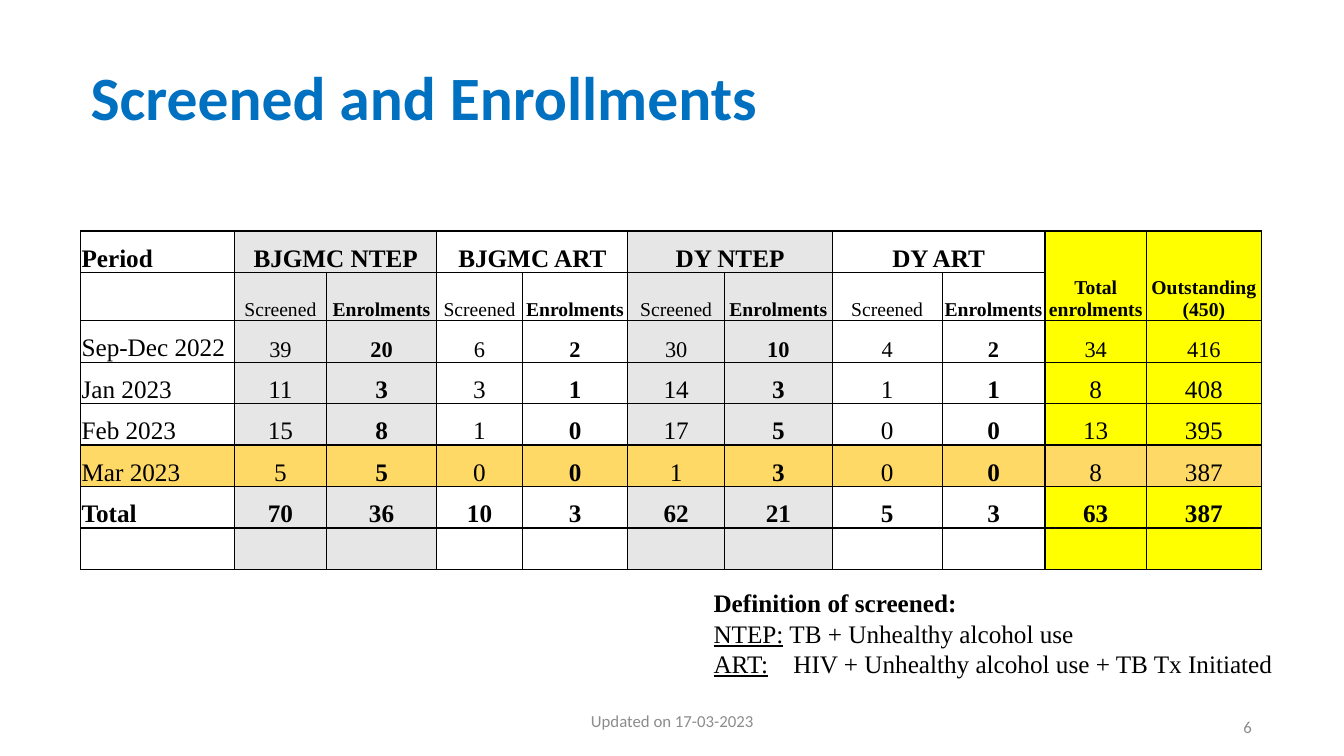
from lxml import etree
from pptx import Presentation
from pptx.dml.color import RGBColor
from pptx.enum import text as t
from pptx.oxml import ns
from pptx.util import Pt

BLACK = RGBColor(0, 0, 0)
BLUE = RGBColor(0x00, 0x70, 0xC0)
GREY = RGBColor(0x8C, 0x8C, 0x8C)
LIGHT = RGBColor(0xE7, 0xE6, 0xE6)
YELLOW = RGBColor(0xFF, 0xFF, 0x00)
AMBER = RGBColor(0xFF, 0xD9, 0x66)
SANS, SERIF = "Calibri", "Times New Roman"

WIDTHS = [110, 65.5, 79, 61, 75.5, 69, 77, 78.5, 73.5, 72.5, 82]
HEIGHTS = [29.8, 31.4] + [29.6] * 6
SITES = ["BJGMC NTEP", "BJGMC ART", "DY NTEP", "DY ART"]
PERIODS = [
    ["Sep-Dec 2022", 39, 20, 6, 2, 30, 10, 4, 2, 34, 416],
    ["Jan 2023", 11, 3, 3, 1, 14, 3, 1, 1, 8, 408],
    ["Feb 2023", 15, 8, 1, 0, 17, 5, 0, 0, 13, 395],
    ["Mar 2023", 5, 5, 0, 0, 1, 3, 0, 0, 8, 387],
    ["Total", 70, 36, 10, 3, 62, 21, 5, 3, 63, 387],
]
SUBHEAD_ROW, FIRST_PERIOD_ROW, MARCH_ROW, TOTAL_ROW = 1, 2, 5, 6
ENROLMENT_COLS = (2, 4, 6, 8)
NTEP_COLS = (1, 2, 5, 6)
SUMMARY_COLS = (9, 10)


def style(paragraph, size, face, color, bold=False, align=t.PP_ALIGN.LEFT):
    paragraph.alignment = align
    font = paragraph.font
    font.size, font.name, font.bold = Pt(size), face, bold
    font.color.rgb = color


def add_frame(slide, left, top, width, height, anchor=t.MSO_ANCHOR.MIDDLE):
    frame = slide.shapes.add_textbox(Pt(left), Pt(top), Pt(width), Pt(height)).text_frame
    frame.word_wrap = True
    frame.vertical_anchor = anchor
    return frame


def add_line(slide, box, wording, *look, **options):
    line = add_frame(slide, *box).paragraphs[0]
    line.add_run().text = wording
    style(line, *look, **options)
    return line


def add_borders(cell):
    properties = cell._tc.get_or_add_tcPr()
    for position, side in enumerate(("lnL", "lnR", "lnT", "lnB")):
        border = etree.Element(ns.qn("a:" + side), w=str(Pt(1)))
        fill = etree.SubElement(border, ns.qn("a:solidFill"))
        etree.SubElement(fill, ns.qn("a:srgbClr"), val=str(BLACK))
        properties.insert(position, border)


def cell_fill(row, col):
    if row == MARCH_ROW:
        return AMBER
    if col in SUMMARY_COLS:
        return YELLOW
    return LIGHT if col in NTEP_COLS else None


def cell_size(row, col):
    if row == SUBHEAD_ROW or (row == 0 and col in SUMMARY_COLS):
        return 14
    return 16 if row == FIRST_PERIOD_ROW and col > 0 else 18


def format_cell(cell, row, col):
    cell.margin_left = cell.margin_right = cell.margin_top = Pt(0.7)
    cell.margin_bottom = 0
    cell.vertical_anchor = t.MSO_ANCHOR.BOTTOM
    fill = cell_fill(row, col)
    if fill is None:
        cell.fill.background()
    else:
        cell.fill.solid()
        cell.fill.fore_color.rgb = fill
    add_borders(cell)
    bold = row in (0, TOTAL_ROW) or col in ENROLMENT_COLS
    align = t.PP_ALIGN.CENTER if col else t.PP_ALIGN.LEFT
    style(cell.text_frame.paragraphs[0], cell_size(row, col), SERIF, BLACK, bold, align)


def add_enrolment_table(slide):
    header = ["Period"]
    for site in SITES:
        header += [site, ""]
    header += ["Total enrolments", "Outstanding (450)"]
    subheader = [""] + ["Screened", "Enrolments"] * len(SITES) + ["", ""]
    rows = [header, subheader, *PERIODS, [""] * len(WIDTHS)]
    table = slide.shapes.add_table(len(rows), len(WIDTHS), Pt(57.6), Pt(165),
                                   Pt(sum(WIDTHS)), Pt(sum(HEIGHTS))).table
    table.first_row = table.horz_banding = False
    for column, width in zip(table.columns, WIDTHS):
        column.width = Pt(width)
    for r, (table_row, values) in enumerate(zip(table.rows, rows)):
        table_row.height = Pt(HEIGHTS[r])
        for c, value in enumerate(values):
            cell = table.cell(r, c)
            if value != "":
                cell.text = str(value)
            format_cell(cell, r, c)
    for enrolments in ENROLMENT_COLS:
        table.cell(0, enrolments - 1).merge(table.cell(0, enrolments))
    for summary in SUMMARY_COLS:
        table.cell(0, summary).merge(table.cell(SUBHEAD_ROW, summary))


def add_definitions(slide):
    frame = add_frame(slide, 502.6, 416.2, 430.6, 72.7, t.MSO_ANCHOR.TOP)
    heading = frame.paragraphs[0]
    heading.add_run().text = "Definition of screened:"
    style(heading, 18, SERIF, BLACK, bold=True)
    for term, meaning in (("NTEP:", " TB + Unhealthy alcohol use"),
                          ("ART:", "\tHIV + Unhealthy alcohol use + TB Tx Initiated")):
        definition = frame.add_paragraph()
        label = definition.add_run()
        label.text = term
        label.font.underline = True
        definition.add_run().text = meaning
        style(definition, 18, SERIF, BLACK)
        stops = etree.Element(ns.qn("a:tabLst"))
        etree.SubElement(stops, ns.qn("a:tab"), pos=str(Pt(57)), algn="l")
        definition._p.get_or_add_pPr().insert(0, stops)


def main():
    deck = Presentation()
    deck.slide_width, deck.slide_height = Pt(960), Pt(540)
    slide = deck.slides.add_slide(deck.slide_layouts[6])
    title = add_line(slide, (57.6, 19.4, 828, 104.4), "Screened and Enrollments",
                     44, SANS, BLUE, bold=True)
    title.line_spacing = 0.9
    add_enrolment_table(slide)
    add_line(slide, (685.4, 504.7, 216, 28.8), "6", 12, SANS, GREY,
             align=t.PP_ALIGN.RIGHT)
    add_definitions(slide)
    add_line(slide, (318.2, 500.4, 324, 28.8), "Updated on 17-03-2023", 12, SANS, GREY,
             align=t.PP_ALIGN.CENTER)
    deck.save("out.pptx")


main()
